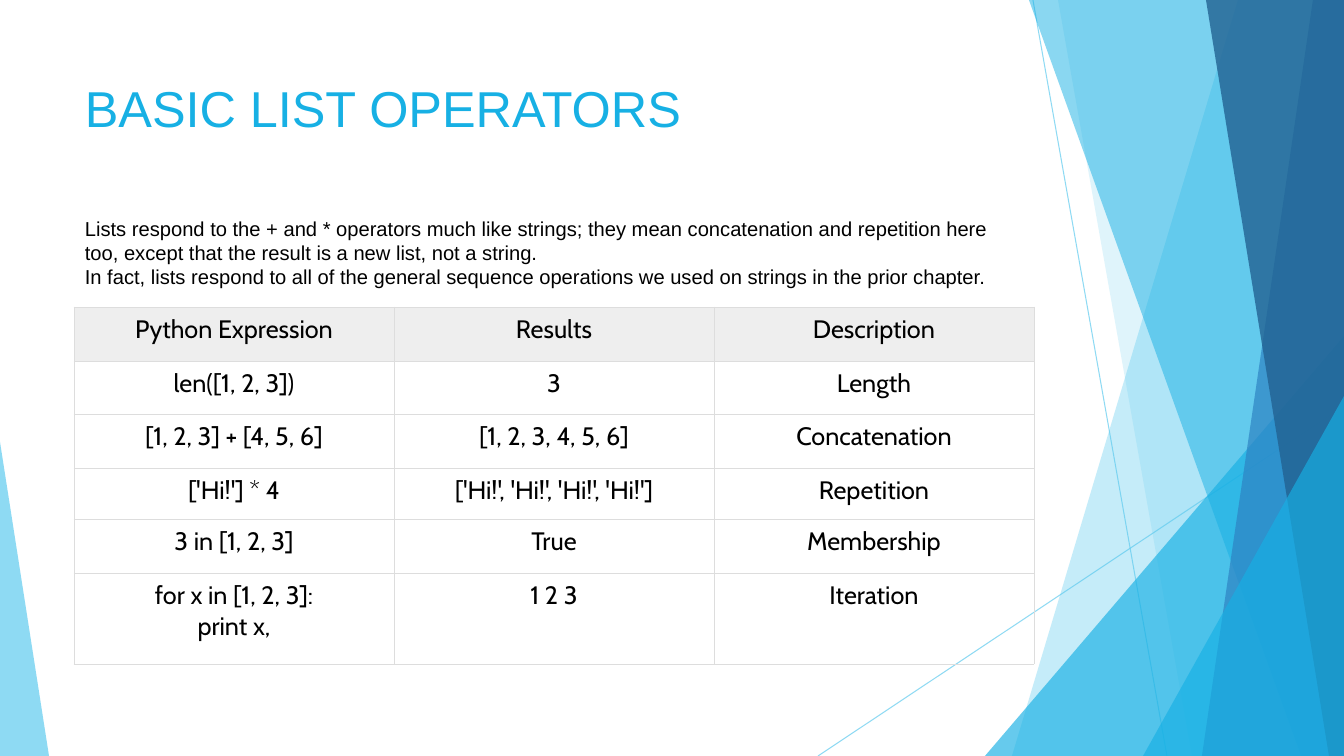
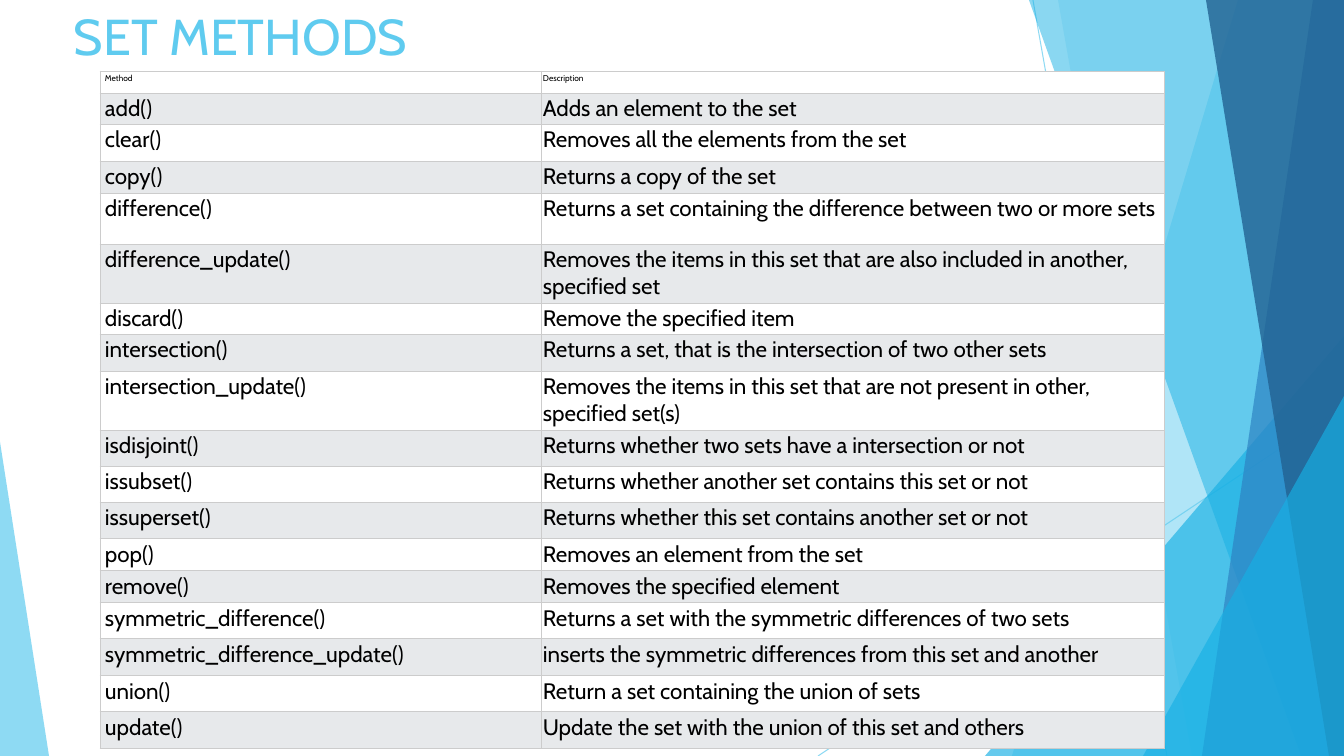
from lxml import etree
from pptx import Presentation
from pptx import util as u
from pptx.dml.color import RGBColor
from pptx.enum import shapes, text
from pptx.oxml import ns

PX = 914400 / 100.8
WIDTH, HEIGHT = 1344, 756
SKY = RGBColor(0x5F, 0xCB, 0xEF)
AZURE = RGBColor(0x17, 0xB0, 0xE4)
BLUE = RGBColor(0x2E, 0x83, 0xC3)
NAVY = RGBColor(0x22, 0x62, 0x92)
BLACK = RGBColor(0, 0, 0)
WHITE = RGBColor(0xFF, 0xFF, 0xFF)
HEADER_GREY = RGBColor(0xEE, 0xEE, 0xEE)
STRIPE_GREY = RGBColor(0xE7, 0xE9, 0xEB)
RULE_LIGHT = RGBColor(0xDD, 0xDD, 0xDD)
RULE_GREY = RGBColor(0xCC, 0xCC, 0xCC)
TITLE_SIZE = 36


def write(frame, content, *, size, font="Cabin", color=BLACK, align=text.PP_ALIGN.LEFT, pitch=None):
    frame.word_wrap = True
    for index, line in enumerate(content.split("\n")):
        paragraph = frame.add_paragraph() if index else frame.paragraphs[0]
        paragraph.text = line
        paragraph.alignment = align
        paragraph.line_spacing = pitch and u.Pt(pitch)
        paragraph.font.size = u.Pt(size)
        paragraph.font.name = font
        paragraph.font.color.rgb = color


def lay_table(slide, rows, left, top, widths, heights, *, fills, rule, insets, sizes, align):
    box = [round(n * PX) for n in (left, top, sum(widths), sum(heights))]
    table = slide.shapes.add_table(len(rows), len(widths), *box).table
    table.first_row = table.horz_banding = False
    for column, width in zip(table.columns, widths):
        column.width = round(width * PX)
    for r, (row, height) in enumerate(zip(rows, heights)):
        table.rows[r].height = round(height * PX)
        for c, content in enumerate(row):
            cell = table.cell(r, c)
            cell.margin_left = round(insets[c] * PX)
            cell.margin_top = cell.margin_right = cell.margin_bottom = round(insets[-1] * PX)
            if fills[r]:
                cell.fill.solid()
                cell.fill.fore_color.rgb = fills[r]
            else:
                cell.fill.background()
            properties = cell._tc.get_or_add_tcPr()
            for place, side in enumerate(("lnL", "lnR", "lnT", "lnB")):
                border = etree.Element(ns.qn("a:" + side), w=str(u.Pt(0.6)))
                solid = etree.SubElement(border, ns.qn("a:solidFill"))
                etree.SubElement(solid, ns.qn("a:srgbClr"), val=str(rule))
                properties.insert(place, border)
            write(cell.text_frame, content, size=sizes[min(r, 1)], align=align)


deck = Presentation()
deck.slide_width = round(WIDTH * PX)
deck.slide_height = round(HEIGHT * PX)
blank = deck.slide_layouts[6]
for placeholder in list(blank.placeholders):
    blank.shapes.element.remove(placeholder.element)

operators = deck.slides.add_slide(blank)
methods = deck.slides.add_slide(blank)

backdrop = [
    ("line", (1033, 0, 1167, HEIGHT), SKY, 70),
    ("line", (WIDTH, 406, 818, HEIGHT), SKY, 70),
    ("band", (1238, 1012), SKY, 36),
    ("band", (1058, 1192), SKY, 20),
    ("triangle", (985, 336, 359, 420, 1), AZURE, 66),
    ("band", (1029, 1301), AZURE, 50),
    ("band", (1313, 1202), BLUE, 70),
    ("band", (1206, 1329), NAVY, 80),
    ("triangle", (1143, 396, 201, 360, 1), AZURE, 66),
    ("triangle", (0, 442, 49, 314, 0), SKY, 70),
]
facets = []
for kind, geometry, color, opacity in backdrop:
    if kind == "line":
        ends = [round(n * PX) for n in geometry]
        facet = operators.shapes.add_connector(shapes.MSO_CONNECTOR.STRAIGHT, *ends)
        facet.line.color.rgb = color
        facet.line.width = u.Pt(0.75)
        etree.SubElement(facet.element.spPr, ns.qn("a:effectLst"))
    else:
        if kind == "band":
            upper, lower = geometry
            outline = operators.shapes.build_freeform(upper, 0, scale=PX)
            outline.add_line_segments([(WIDTH, 0), (WIDTH, HEIGHT), (lower, HEIGHT)], close=True)
            facet = outline.convert_to_shape()
        else:
            *box, apex = geometry
            facet = operators.shapes.add_shape(
                shapes.MSO_SHAPE.ISOSCELES_TRIANGLE, *[round(n * PX) for n in box])
            facet.adjustments[0] = apex
        facet.fill.solid()
        facet.fill.fore_color.rgb = color
        facet.line.fill.background()
        facet.shadow.inherit = False
    for tint in facet.element.iter(ns.qn("a:srgbClr")):
        etree.SubElement(tint, ns.qn("a:alpha"), val=str(opacity * 1000))
    facets.append(facet)
for facet in facets:
    blank.shapes.element.append(facet.element)

introduction = (
    "Lists respond to the + and * operators much like strings; they mean concatenation and "
    "repetition here too, except that the result is a new list, not a string.\n"
    "In fact, lists respond to all of the general sequence operations we used on strings "
    "in the prior chapter."
)
passages = [
    (operators, (75, 72, 948, 68), "BASIC LIST OPERATORS",
     dict(size=TITLE_SIZE, font="Arial", color=AZURE)),
    (operators, (75, 212, 948, 84), introduction, dict(size=14.4, font="Arial", pitch=17)),
    (methods, (64, 0, 948, 70), "SET METHODS", dict(size=TITLE_SIZE, color=SKY)),
]
for slide, box, content, style in passages:
    passage = slide.shapes.add_textbox(*[round(n * PX) for n in box])
    write(passage.text_frame, content, **style)

expressions = [
    ("Python Expression", "Results", "Description"),
    ("len([1, 2, 3])", "3", "Length"),
    ("[1, 2, 3] + [4, 5, 6]", "[1, 2, 3, 4, 5, 6]", "Concatenation"),
    ("['Hi!'] * 4", "['Hi!', 'Hi!', 'Hi!', 'Hi!']", "Repetition"),
    ("3 in [1, 2, 3]", "True", "Membership"),
    ("for x in [1, 2, 3]:\nprint x,", "1 2 3", "Iteration"),
]
lay_table(
    operators, expressions, 74, 307, [320] * 3, [54, 53, 54, 51, 54, 91],
    fills=[HEADER_GREY] + [None] * 5, rule=RULE_LIGHT, insets=[7] * 3,
    sizes=(18, 18), align=text.PP_ALIGN.CENTER,
)

set_methods = [
    (22, "Method", "Description"),
    (31, "add()", "Adds an element to the set"),
    (37, "clear()", "Removes all the elements from the set"),
    (32, "copy()", "Returns a copy of the set"),
    (51, "difference()", "Returns a set containing the difference between two or more sets"),
    (59, "difference_update()",
     "Removes the items in this set that are also included in another, specified set"),
    (31, "discard()", "Remove the specified item"),
    (37, "intersection()", "Returns a set, that is the intersection of two other sets"),
    (59, "intersection_update()",
     "Removes the items in this set that are not present in other, specified set(s)"),
    (36, "isdisjoint()", "Returns whether two sets have a intersection or not"),
    (36, "issubset()", "Returns whether another set contains this set or not"),
    (37, "issuperset()", "Returns whether this set contains another set or not"),
    (32, "pop()", "Removes an element from the set"),
    (32, "remove()", "Removes the specified element"),
    (36, "symmetric_difference()", "Returns a set with the symmetric differences of two sets"),
    (37, "symmetric_difference_update()",
     "inserts the symmetric differences from this set and another"),
    (36, "union()", "Return a set containing the union of sets"),
    (37, "update()", "Update the set with the union of this set and others"),
]
lay_table(
    methods, [row[1:] for row in set_methods], 100, 71, [441, 623],
    [row[0] for row in set_methods],
    fills=[WHITE, STRIPE_GREY] * (len(set_methods) // 2), rule=RULE_GREY, insets=[5, 2],
    sizes=(6, 16), align=text.PP_ALIGN.LEFT,
)

deck.save("out.pptx")
